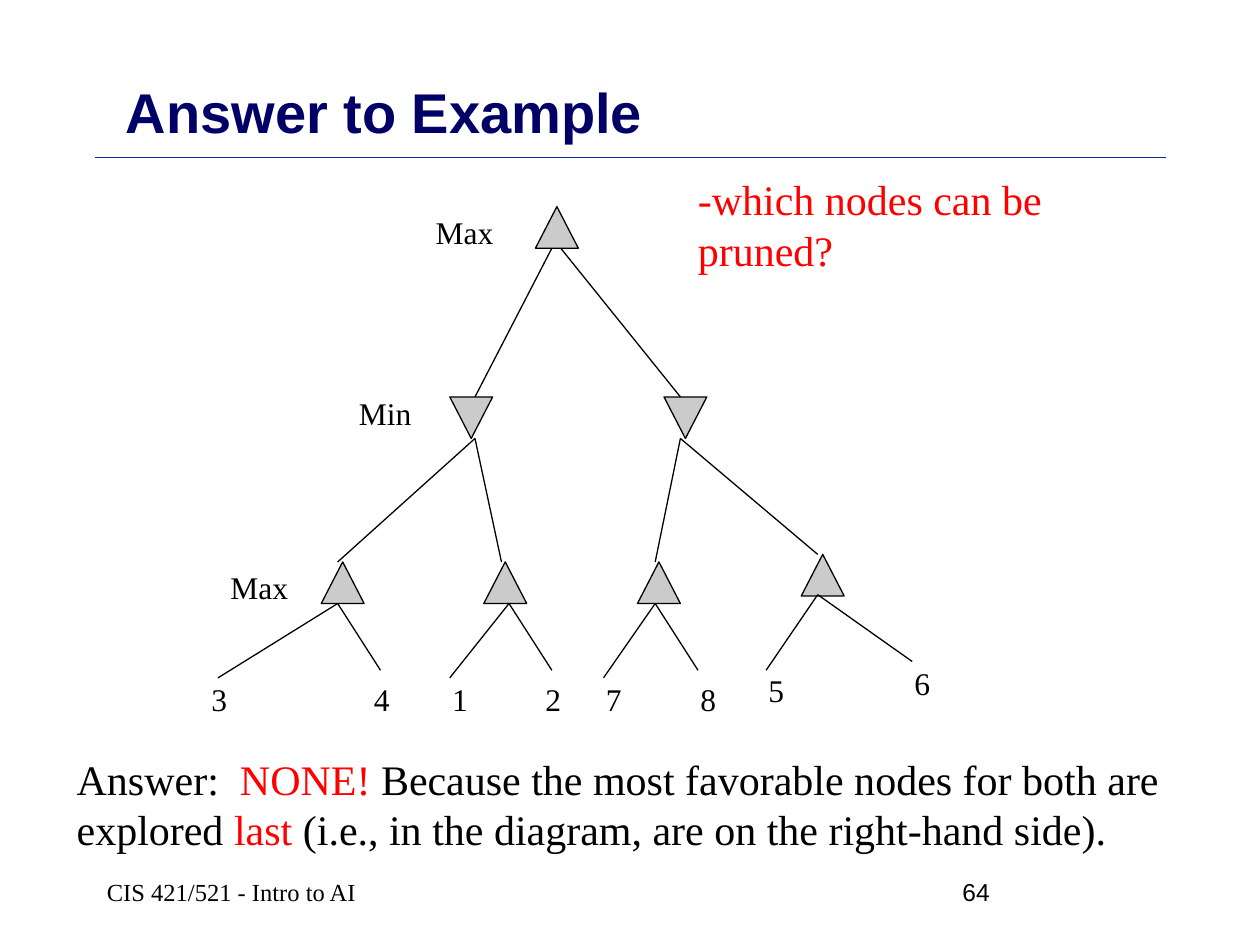
"""Build a slide that shows a minimax game tree and its pruning answer."""
from typing import NamedTuple

from lxml.etree import SubElement
from pptx import Presentation
from pptx.dml.color import RGBColor
from pptx.enum.shapes import MSO_CONNECTOR as Connector, MSO_SHAPE as Shape
from pptx.enum.text import MSO_ANCHOR as Anchor
from pptx.oxml.ns import qn
from pptx.util import Inches, Pt

SERIF, SANS = "Times New Roman", "Arial"
BLACK, RED, NAVY, BLUE, GRAY = "000000", "FF0000", "000066", "003399", "CBCBCB"
NODE_WIDTH, NODE_HEIGHT = 0.34, 0.33


class Span(NamedTuple):
    text: str
    color: str = BLACK


class Style(NamedTuple):
    size: int
    font: str = SERIF
    bold: bool = False
    anchor: Anchor = Anchor.TOP
    wrap: bool = True


class Node(NamedTuple):
    left: float
    top: float
    is_min: bool = False


class Fork(NamedTuple):
    start: tuple[float, float]
    ends: list[tuple[float, float]]


class Label(NamedTuple):
    text: str
    left: float
    top: float


NODES = [
    Node(2.55, 4.46), Node(3.84, 4.46), Node(5.06, 4.46), Node(6.36, 4.4),
    Node(4.25, 1.64), Node(3.57, 3.15, True), Node(5.27, 3.15, True),
]
FORKS = [
    Fork((4.38, 1.97), [(3.77, 3.15)]),
    Fork((4.45, 1.97), [(5.4, 3.15)]),
    Fork((3.77, 3.48), [(2.68, 4.46), (3.98, 4.46)]),
    Fork((5.4, 3.48), [(5.2, 4.46), (6.49, 4.4)]),
    Fork((2.68, 4.79), [(1.73, 5.38), (3.02, 5.32)]),
    Fork((4.04, 4.79), [(3.57, 5.38), (4.38, 5.32)]),
    Fork((5.2, 4.79), [(4.79, 5.38), (5.54, 5.32)]),
    Fork((6.49, 4.72), [(6.08, 5.32), (7.24, 5.25)]),
]
LEAVES = [
    Label("3", 1.58, 5.35), Label("4", 2.87, 5.35), Label("1", 3.49, 5.35),
    Label("2", 4.23, 5.35), Label("7", 4.71, 5.35), Label("8", 5.46, 5.35),
    Label("5", 6, 5.28), Label("6", 7.16, 5.22),
]
LEVELS = [Label("Max", 3.36, 1.64), Label("Min", 2.75, 3.08), Label("Max", 1.73, 4.46)]


def rgb(color: str) -> RGBColor:
    return RGBColor.from_string(color)


def add_text(page, left: float, top: float, width: float, height: float,
             spans: list[Span], style: Style) -> None:
    box = page.shapes.add_textbox(Inches(left), Inches(top), Inches(width), Inches(height))
    frame = box.text_frame
    frame.word_wrap = style.wrap
    frame.vertical_anchor = style.anchor
    para = frame.paragraphs[0]
    for span in spans:
        run = para.add_run()
        run.text = span.text
        run.font.size = Pt(style.size)
        run.font.name = style.font
        run.font.bold = style.bold
        run.font.color.rgb = rgb(span.color)


def add_line(page, start: tuple[float, float], end: tuple[float, float],
             color: str = BLACK, width: float = 0.75) -> None:
    line = page.shapes.add_connector(
        Connector.STRAIGHT, *(Inches(value) for value in (*start, *end)))
    line.line.color.rgb = rgb(color)
    line.line.width = Pt(width)
    SubElement(line._element.spPr, qn("a:effectLst"))


def add_node(page, node: Node) -> None:
    triangle = page.shapes.add_shape(
        Shape.ISOSCELES_TRIANGLE, Inches(node.left), Inches(node.top),
        Inches(NODE_WIDTH), Inches(NODE_HEIGHT))
    triangle.shadow.inherit = False
    triangle.rotation = 180 if node.is_min else 0
    triangle.fill.solid()
    triangle.fill.fore_color.rgb = rgb(GRAY)
    triangle.line.color.rgb = rgb(BLACK)
    triangle.line.width = Pt(0.75)


def add_tree(page) -> None:
    for node in NODES:
        add_node(page, node)
    for fork in FORKS:
        for end in fork.ends:
            add_line(page, fork.start, end)
    for leaf in LEAVES:
        add_text(page, leaf.left, leaf.top, 0.33, 0.4, [Span(leaf.text)], Style(18, wrap=False))
    for level in LEVELS:
        add_text(page, level.left, level.top, 0.68, 0.4, [Span(level.text)], Style(18))


def main() -> None:
    deck = Presentation()
    deck.slide_width, deck.slide_height = Inches(10), Inches(7.5)
    page = deck.slides.add_slide(deck.slide_layouts[6])

    add_line(page, (0.75, 1.25), (9.25, 1.25), BLUE, 1)
    add_text(page, 0.9, 0.63, 8.5, 0.5, [Span("Answer to Example", NAVY)],
             Style(32, SANS, True, Anchor.MIDDLE))
    add_text(page, 5.44, 1.33, 3.48, 0.9, [Span("-which nodes can be pruned?", RED)], Style(24))
    answer = [
        Span("Answer:  "),
        Span("NONE!", RED),
        Span(" Because the most favorable nodes for both are explored "),
        Span("last", RED),
        Span(" (i.e., in the diagram, are on the right-hand side)."),
    ]
    add_text(page, 0.51, 5.93, 8.92, 0.91, answer, Style(24))
    add_tree(page)
    add_text(page, 7.54, 6.83, 1.71, 0.5, [Span("64")], Style(14, SANS, anchor=Anchor.MIDDLE))
    add_text(page, 0.75, 6.83, 2.58, 0.5, [Span("CIS 421/521 - Intro to AI")],
             Style(14, anchor=Anchor.MIDDLE))
    deck.save("out.pptx")


if __name__ == "__main__":
    main()
